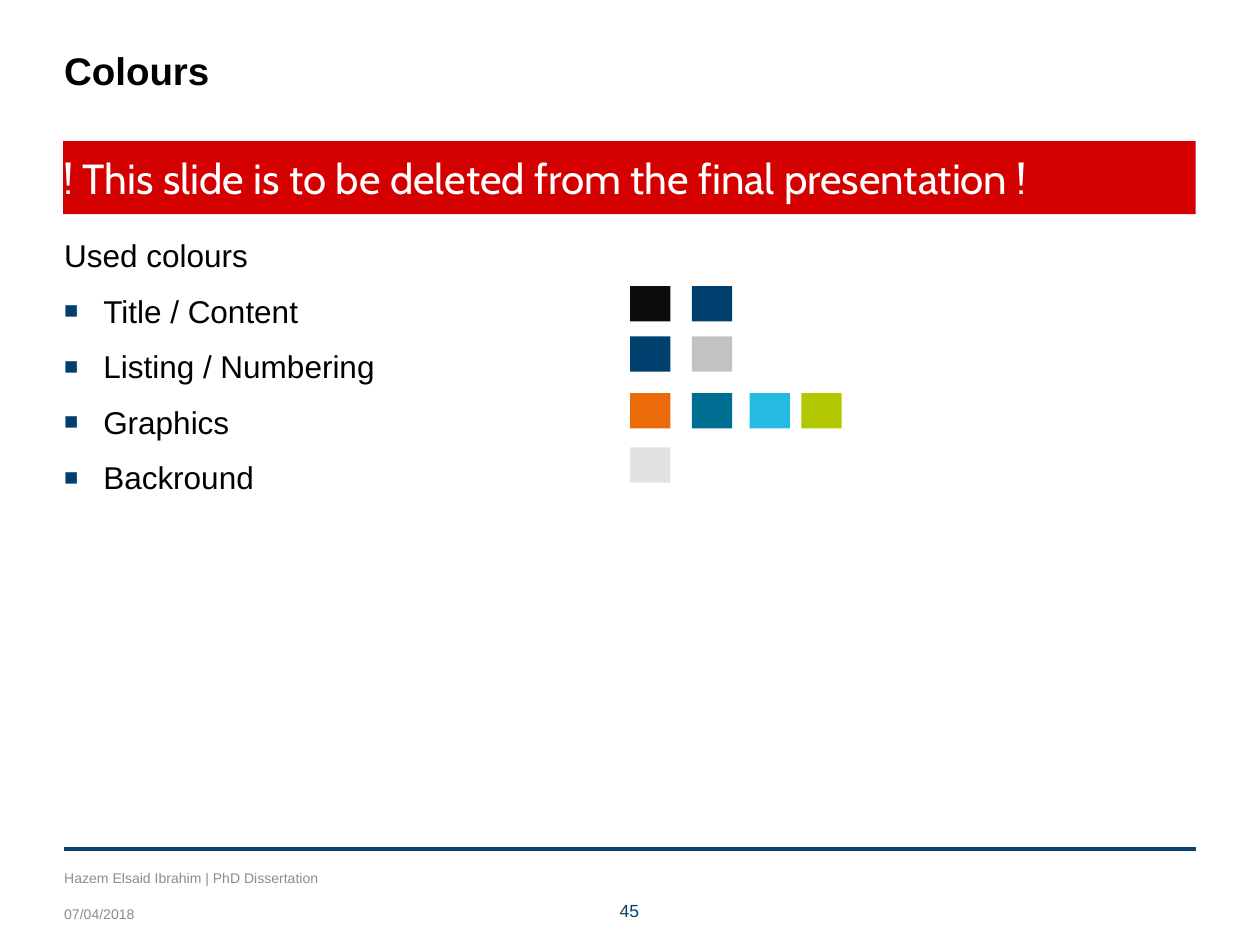
from dataclasses import dataclass

from lxml import etree
from pptx import Presentation
from pptx.dml.color import RGBColor
from pptx.enum.shapes import MSO_CONNECTOR, MSO_SHAPE
from pptx.enum.text import MSO_ANCHOR, MSO_AUTO_SIZE, PP_ALIGN
from pptx.oxml.ns import qn
from pptx.util import Inches, Pt

RECT = MSO_SHAPE.RECTANGLE
LINE = MSO_CONNECTOR.STRAIGHT
TOP, MID = MSO_ANCHOR.TOP, MSO_ANCHOR.MIDDLE
LEFT, CENTER = PP_ALIGN.LEFT, PP_ALIGN.CENTER
FIXED = MSO_AUTO_SIZE.NONE


@dataclass(frozen=True)
class Theme:
    # Colours
    ink: str = "000000"
    white: str = "FFFFFF"
    navy: str = "00406F"
    rule: str = "0F416E"
    red: str = "D40000"
    gray: str = "8C8C8C"
    # Type
    font: str = "Arial"
    alert: str = "Cabin"
    head: int = 22
    warn: int = 24
    body: int = 18
    page: int = 10
    foot: int = 8


class Deck:
    def __init__(self, theme):
        self.theme = theme
        self.file = Presentation()
        self.file.slide_width, self.file.slide_height = Inches(10), Inches(7.5)
        self.slide = self.file.slides.add_slide(self.file.slide_layouts[5])

    def label(self, shape, lines, size, color, font=None, bold=False,
              align=LEFT, anchor=TOP):
        frame = shape.text_frame
        form = {"margin_left": 0, "margin_right": 0, "margin_top": 0,
                "margin_bottom": 0, "word_wrap": True, "auto_size": FIXED,
                "vertical_anchor": anchor}
        for key, value in form.items():
            setattr(frame, key, value)
        frame.text = "\n".join(lines)
        style = {"name": font or self.theme.font, "size": Pt(size), "bold": bold}
        for para in frame.paragraphs:
            para.alignment = align
            for run in para.runs:
                for key, value in style.items():
                    setattr(run.font, key, value)
                run.font.color.rgb = RGBColor.from_string(color)
        return frame

    def title(self, text, box):
        shape = self.slide.shapes.title
        for key, value in zip(("left", "top", "width", "height"), box):
            setattr(shape, key, Inches(value))
        self.label(shape, [text], self.theme.head, self.theme.ink, bold=True)

    def text(self, lines, box, size, color, **form):
        shape = self.slide.shapes.add_textbox(*map(Inches, box))
        return self.label(shape, lines, size, color, **form)

    def bullet(self, para):
        props = para._p.get_or_add_pPr()
        indent = Inches(0.31)
        props.set("marL", str(indent))
        props.set("indent", str(-indent))
        tint = etree.SubElement(props, qn("a:buClr"))
        etree.SubElement(tint, qn("a:srgbClr"), val=self.theme.navy)
        etree.SubElement(props, qn("a:buSzPct"), val="75000")
        etree.SubElement(props, qn("a:buFont"), typeface=self.theme.font)
        etree.SubElement(props, qn("a:buChar"), char="■")

    def list(self, lead, items, box):
        frame = self.text([lead, *items], box, self.theme.body, self.theme.ink)
        for num, para in enumerate(frame.paragraphs):
            para.line_spacing = 1.05
            para.space_after = Pt(9)
            if num:
                self.bullet(para)

    def rect(self, box, color):
        shape = self.slide.shapes.add_shape(RECT, *map(Inches, box))
        shape.shadow.inherit = False
        shape.fill.solid()
        shape.fill.fore_color.rgb = RGBColor.from_string(color)
        shape.line.fill.background()
        return shape

    def line(self, left, right, top, color, width):
        ends = map(Inches, (left, top, right, top))
        line = self.slide.shapes.add_connector(LINE, *ends)
        line.line.color.rgb = RGBColor.from_string(color)
        line.line.width = Pt(width)
        etree.SubElement(line._element.spPr, qn("a:effectLst"))


def main():
    theme = Theme()
    deck = Deck(theme)
    edge, span = 0.51, 8.98

    # Title and list
    deck.title("Colours", (edge, 0.37, span, 0.37))
    deck.list("Used colours",
              ["Title / Content", "Listing / Numbering", "Graphics", "Backround"],
              (edge, 1.86, span, 4.8))

    # Swatches, one row for each list item
    cols = (5, 5.49, 5.95, 6.36)
    rows = {
        2.27: ("0D0D0D", theme.navy),
        2.67: (theme.navy, "C2C2C2"),
        3.12: ("EB6A0A", "006E92", "25BAE2", "B1C800"),
        3.55: ("E1E3E3",),
    }
    for top, tints in rows.items():
        for left, tint in zip(cols, tints):
            deck.rect((left, top, 0.32, 0.28), tint)

    # Warning banner
    banner = deck.rect((0.5, 1.12, 8.99, 0.58), theme.red)
    deck.label(banner,
               ["! This slide is to be deleted from the final presentation !"],
               theme.warn, theme.white, font=theme.alert, anchor=MID)

    # Footer
    deck.line(edge, edge + span, 6.74, theme.rule, 2.5)
    notes = (("Hazem Elsaid Ibrahim | PhD Dissertation", 6.9, 3.17),
             ("07/04/2018", 7.19, 2.33))
    for text, top, width in notes:
        deck.text([text], (edge, top, width, 0.13), theme.foot, theme.gray,
                  anchor=MID)
    deck.text(["45"], (4.76, 7.14, 0.47, 0.17), theme.page, theme.navy,
              align=CENTER)

    deck.file.save("out.pptx")


if __name__ == "__main__":
    main()
